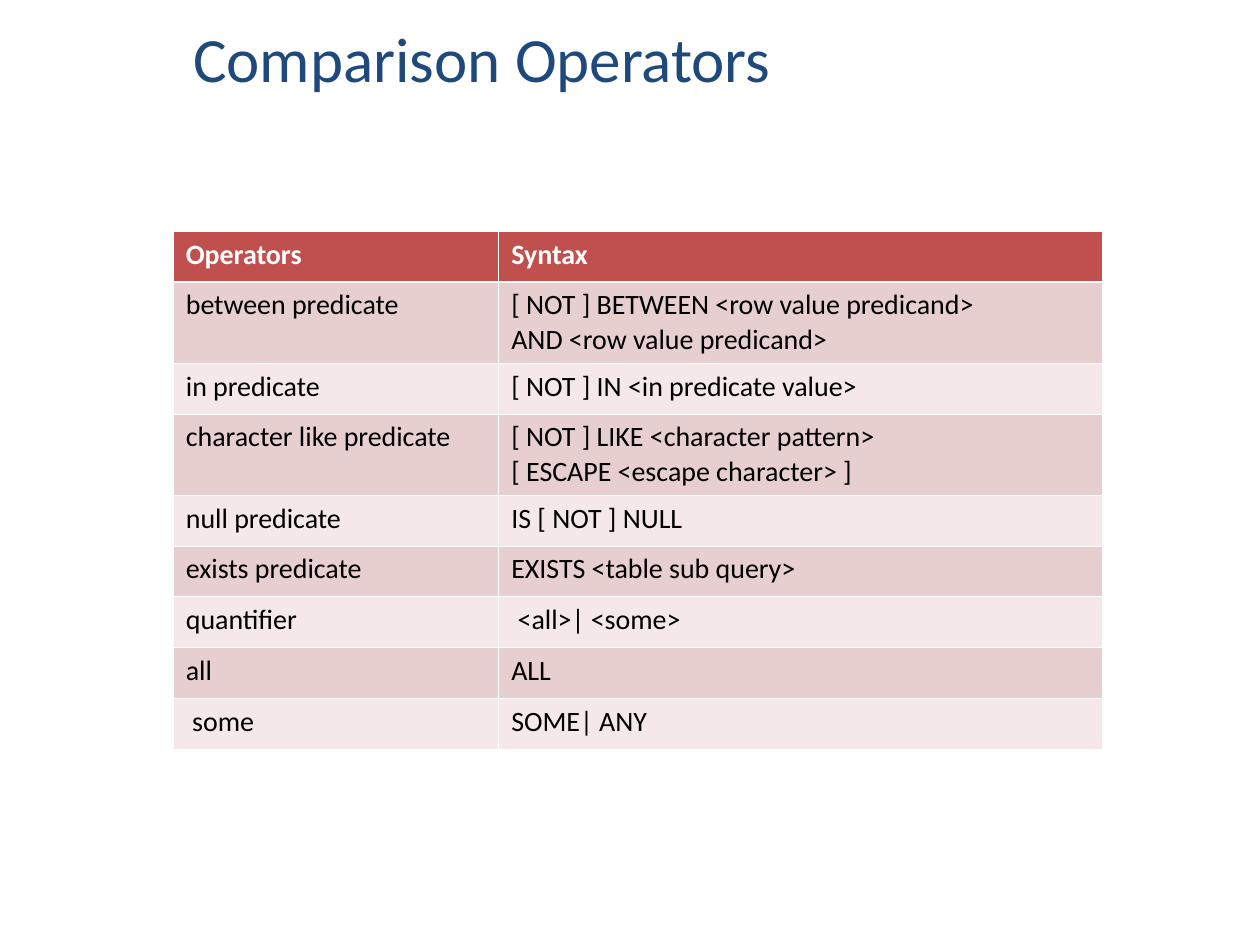
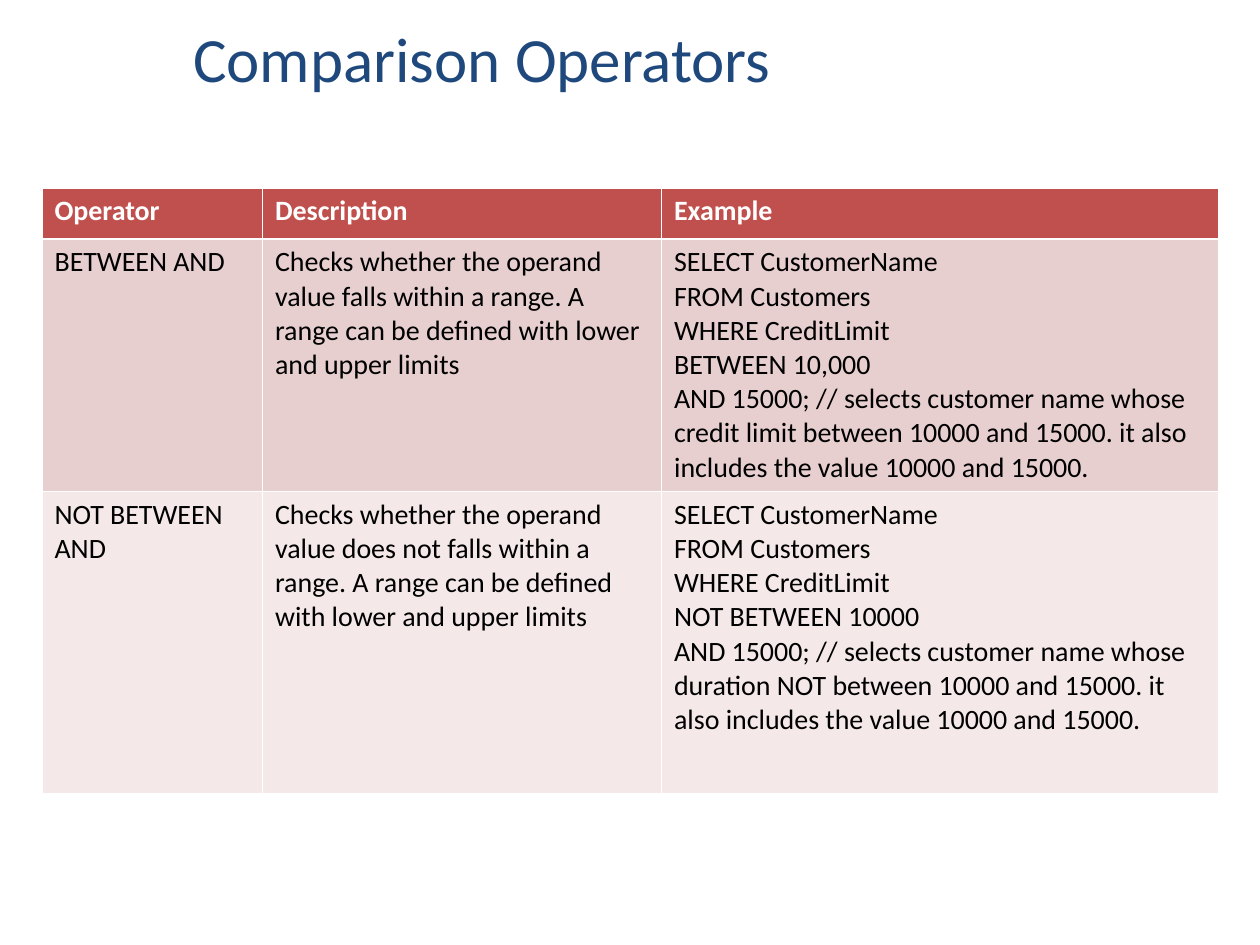
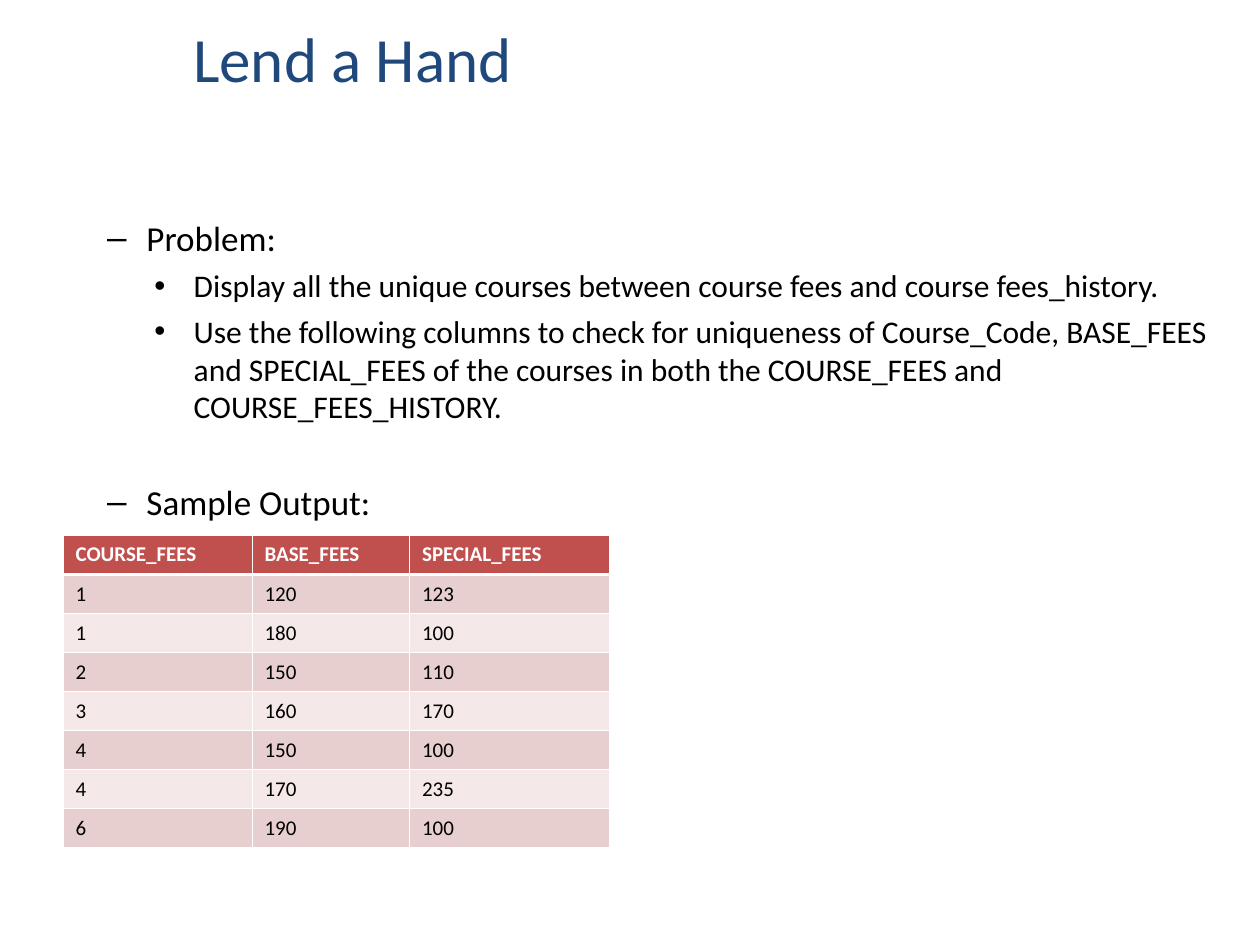
from lxml.etree import SubElement as Sub
from pptx import Presentation
from pptx.dml.color import RGBColor as Rgb
from pptx.enum.text import MSO_ANCHOR as Anchor, MSO_AUTO_SIZE as Fit, PP_ALIGN as Align
from pptx.oxml.ns import qn
from pptx.util import Inches, Pt

HUE = {"title": "1F497D", "head": "C0504D", "odd": "E8CFCF", "even": "F4E9E8",
       "ink": "000000", "white": "FFFFFF"}
COLS, ROWS = 120, 90  # slide grid
WIDE, HIGH = Inches(10), Inches(7.5)
THIN, THICK = Pt(0.45), Pt(1.47)
TITLE = (17.2, 0, 102.8, 11)
BODY = (3, 20, 114, 66)
# Indent in columns, text size and space before of each list level
LEVELS = {1: {"left": 9.75, "size": 20, "gap": 5},
          2: {"left": 14.25, "size": 18, "gap": 4.5}}
HANG = 3.75


def across(cols):
    return round(WIDE * cols / COLS)


def down(rows):
    return round(HIGH * rows / ROWS)


def place(shape, box):
    left, top, width, height = box
    spot = {"left": across(left), "top": down(top),
            "width": across(width), "height": down(height)}
    for name, value in spot.items():
        setattr(shape, name, value)


def style(para, size, hue, bold=False):
    look = {"name": "Calibri", "size": Pt(size), "bold": bold}
    for run in para.runs:
        for name, value in look.items():
            setattr(run.font, name, value)
        run.font.color.rgb = Rgb.from_string(HUE[hue])


def start(deck, layout, text):
    """Add a slide with its title."""
    slide = deck.slides.add_slide(deck.slide_layouts[layout])
    title = slide.shapes.title
    place(title, TITLE)
    frame = title.text_frame
    frame.text = text
    frame.auto_size = Fit.NONE
    frame.vertical_anchor = Anchor.MIDDLE
    frame.paragraphs[0].alignment = Align.LEFT
    style(frame.paragraphs[0], 36, "title")
    return slide


def edge(cell, widths):
    """Draw white cell borders, which come before the fill."""
    props = cell._tc.get_or_add_tcPr()
    for spot, (side, width) in enumerate(widths.items()):
        line = Sub(props, qn(f"a:ln{side}"), w=str(int(width)))
        Sub(Sub(line, qn("a:solidFill")), qn("a:srgbClr"), val=HUE["white"])
        props.insert(spot, line)


def grid(slide, corner, widths, heights, data, size=16, anchor=Anchor.TOP):
    """Add a table with a header row and two-tone bands."""
    box = (*corner, sum(widths), sum(heights))
    frame = slide.shapes.add_table(len(data), len(widths), 0, 0, WIDE, HIGH)
    table = frame.table
    for col, width in zip(table.columns, widths):
        col.width = across(width)
    for row, height in zip(table.rows, heights):
        row.height = down(height)
    place(frame, box)
    for r, line in enumerate(data):
        head = r == 0
        band = "head" if head else "odd" if r % 2 else "even"
        for c, text in enumerate(line):
            cell = table.cell(r, c)
            cell.text = text
            cell.vertical_anchor = Anchor.TOP if head else anchor
            cell.fill.solid()
            cell.fill.fore_color.rgb = Rgb.from_string(HUE[band])
            edge(cell, {"L": THIN, "R": THIN, "T": THICK if r == 1 else THIN,
                        "B": THICK if head else THIN})
            for para in cell.text_frame.paragraphs:
                style(para, size, "white" if head else "ink", head)


def points(slide, items):
    """Fill the body placeholder; an item is level, text and extra space."""
    body = slide.placeholders[1]
    place(body, BODY)
    frame = body.text_frame
    frame.text = "\n".join(text for _, text, _ in items)
    frame.auto_size = Fit.NONE
    for n, (para, (level, _, extra)) in enumerate(zip(frame.paragraphs, items)):
        form = LEVELS[level]
        para.level = level
        para.space_before = Pt(form["gap"] + extra if n else 0)
        props = para._p.get_or_add_pPr()
        props.set("marL", str(across(form["left"])))
        props.set("indent", str(-across(HANG)))
        style(para, form["size"], "ink")


def syntax(deck):
    slide = start(deck, 5, "Comparison Operators")
    data = [
        ("Operators", "Syntax"),
        ("between predicate",
         "[ NOT ] BETWEEN <row value predicand>\nAND <row value predicand>"),
        ("in predicate", "[ NOT ] IN <in predicate value>"),
        ("character like predicate",
         "[ NOT ] LIKE <character pattern>\n[ ESCAPE <escape character> ]"),
        ("null predicate", "IS [ NOT ] NULL"),
        ("exists predicate", "EXISTS <table sub query>"),
        ("quantifier", " <all>| <some>"),
        ("all", "ALL"),
        (" some", "SOME| ANY"),
    ]
    heights = [7.7 if "\n" in text else 4.85 for _, text in data]
    grid(slide, (16.5, 22), (31, 57.5), heights, data)


def ranges(deck):
    slide = start(deck, 5, "Comparison Operators")
    query = "SELECT CustomerName\nFROM Customers\nWHERE CreditLimit\n"
    limits = "range. A range can be defined with lower and upper limits"
    span = "between 10000 and 15000. it also includes the value 10000 and 15000."
    pick = "AND 15000; // selects customer name whose"
    data = [
        ("Operator", "Description", "Example"),
        ("BETWEEN AND",
         f"Checks whether the operand value falls within a {limits}",
         f"{query}BETWEEN 10,000\n{pick} credit limit {span}"),
        ("NOT BETWEEN AND",
         f"Checks whether the operand value does not falls within a {limits}",
         f"{query}NOT BETWEEN 10000\n{pick} duration NOT {span}"),
    ]
    grid(slide, (4, 17.9), (21, 38, 53), (4.85, 24, 28.75), data)


def task(deck):
    slide = start(deck, 1, "Lend a Hand")
    points(slide, [
        (1, "Problem:", 0),
        (2, "Display all the unique courses between course fees and "
            "course fees_history.", 0),
        (2, "Use the following columns to check for uniqueness of Course_Code, "
            "BASE_FEES and SPECIAL_FEES of the courses in both the COURSE_FEES "
            "and COURSE_FEES_HISTORY.", 0),
        (1, "Sample Output:", 26.5),
    ])
    fees = [(1, 120, 123), (1, 180, 100), (2, 150, 110), (3, 160, 170),
            (4, 150, 100), (4, 170, 235), (6, 190, 100)]
    data = [("COURSE_FEES", "BASE_FEES", "SPECIAL_FEES")]
    data += [tuple(map(str, row)) for row in fees]
    grid(slide, (6, 51), (18, 15, 19), [3.72] * len(data), data, 12, Anchor.MIDDLE)


def main():
    deck = Presentation()
    deck.slide_width, deck.slide_height = WIDE, HIGH
    for build in (syntax, ranges, task):
        build(deck)
    deck.save("out.pptx")


if __name__ == "__main__":
    main()
